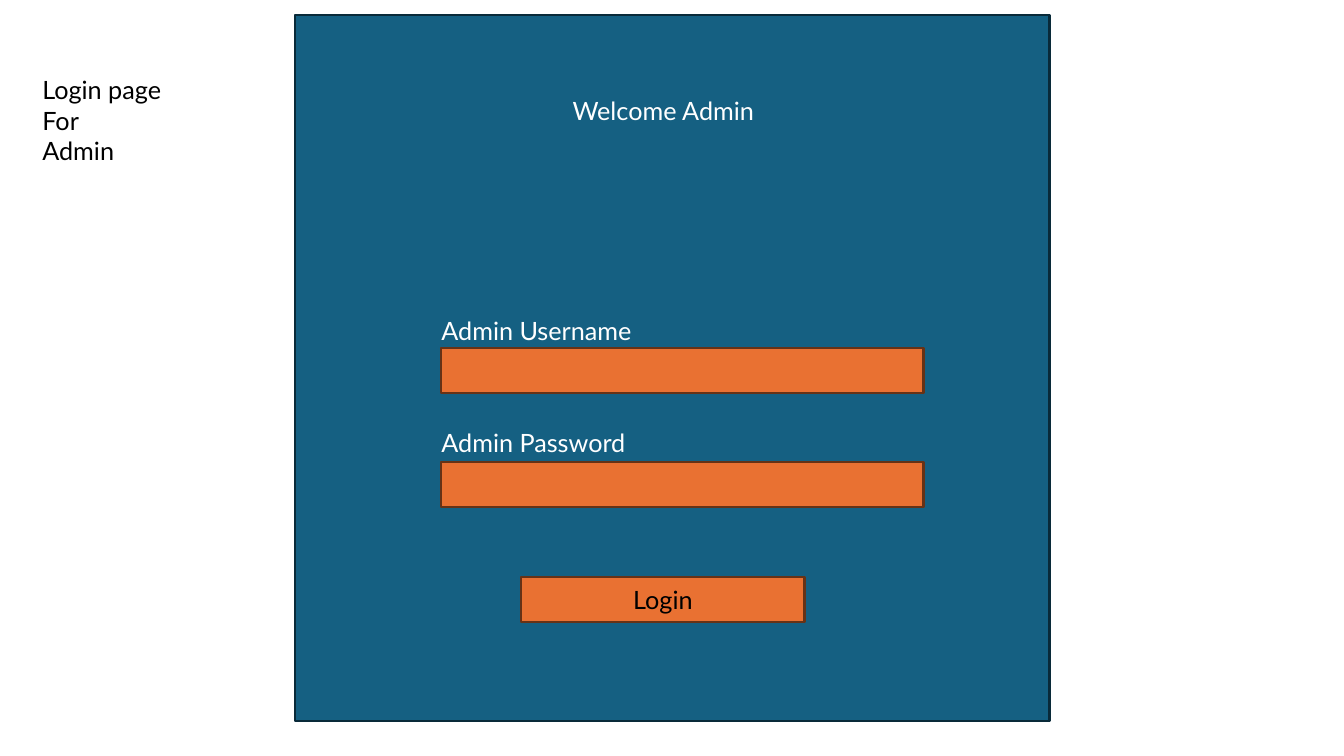
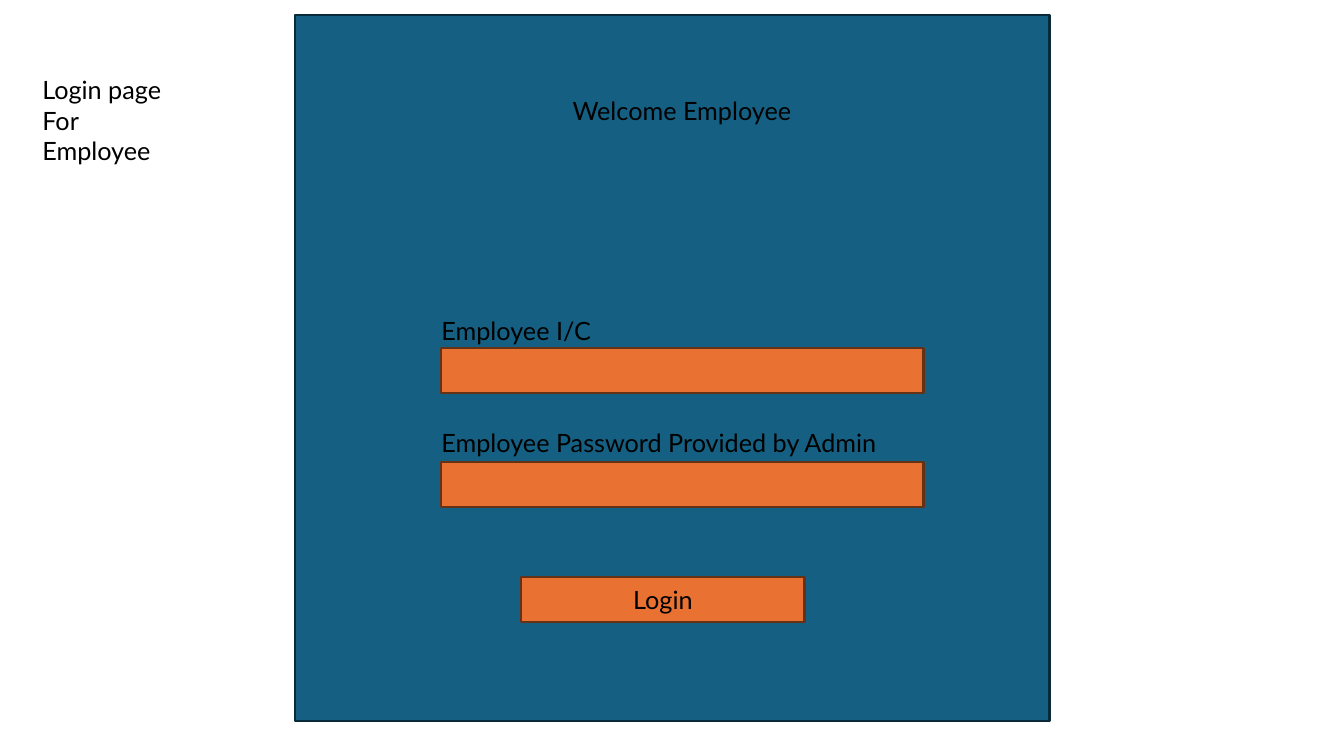
from dataclasses import dataclass

from pptx import Presentation
from pptx.dml.color import RGBColor
from pptx.enum.shapes import MSO_SHAPE
from pptx.enum.text import MSO_ANCHOR, MSO_AUTO_SIZE, PP_ALIGN
from pptx.util import Emu, Pt

EMU_PER_PX = 9144
TITLE_ONLY_LAYOUT = 5


@dataclass(frozen=True)
class Theme:
    font: str = "Lato"
    text_size: int = 18
    border_width: float = 1.5
    dark_text: str = "000000"
    light_text: str = "FFFFFF"
    panel_fill: str = "156082"
    panel_border: str = "092A39"
    control_fill: str = "E97132"
    control_border: str = "663216"


@dataclass(frozen=True)
class LoginPage:
    role: str
    username_label: str
    password_label: str
    text_color: str
    welcome_width: int
    password_width: int


def px(length):
    return Emu(length * EMU_PER_PX)


class LoginDeck:
    def __init__(self, theme):
        self.theme = theme
        self.presentation = Presentation()
        self.presentation.slide_width = px(1333)
        self.presentation.slide_height = px(750)
        self.slide = None

    def new_slide(self):
        layout = self.presentation.slide_layouts[TITLE_ONLY_LAYOUT]
        self.slide = self.presentation.slides.add_slide(layout)

    def add_lines(self, shape, lines, color, alignment=PP_ALIGN.LEFT):
        frame = shape.text_frame
        for index, line in enumerate(lines):
            paragraph = frame.add_paragraph() if index else frame.paragraphs[0]
            paragraph.alignment = alignment
            run = paragraph.add_run()
            run.text = line
            run.font.name = self.theme.font
            run.font.size = Pt(self.theme.text_size)
            run.font.color.rgb = RGBColor.from_string(color)

    def fit_text(self, shape):
        frame = shape.text_frame
        frame.word_wrap = True
        frame.auto_size = MSO_AUTO_SIZE.SHAPE_TO_FIT_TEXT
        frame.vertical_anchor = MSO_ANCHOR.TOP

    def title(self, lines, left, top, width, height):
        title = self.slide.shapes.title
        title.left, title.top = px(left), px(top)
        title.width, title.height = px(width), px(height)
        self.fit_text(title)
        self.add_lines(title, lines, self.theme.dark_text)

    def label(self, text, color, left, top, width):
        label = self.slide.shapes.add_textbox(px(left), px(top), px(width), px(40))
        self.fit_text(label)
        self.add_lines(label, [text], color)

    def box(self, left, top, width, height, fill, border):
        box = self.slide.shapes.add_shape(
            MSO_SHAPE.RECTANGLE, px(left), px(top), px(width), px(height)
        )
        box.shadow.inherit = False
        box.fill.solid()
        box.fill.fore_color.rgb = RGBColor.from_string(fill)
        box.line.color.rgb = RGBColor.from_string(border)
        box.line.width = Pt(self.theme.border_width)
        return box

    def panel(self):
        self.box(293, 15, 748, 700, self.theme.panel_fill, self.theme.panel_border)

    def control(self, left, top, width):
        return self.box(
            left, top, width, 45, self.theme.control_fill, self.theme.control_border
        )

    def field(self, text, color, label_top, label_width, field_top):
        self.control(437, field_top, 479)
        self.label(text, color, 428, label_top, label_width)

    def button(self, text):
        button = self.control(517, 572, 281)
        button.text_frame.vertical_anchor = MSO_ANCHOR.MIDDLE
        self.add_lines(button, [text], self.theme.dark_text, PP_ALIGN.CENTER)

    def login_page(self, page):
        self.new_slide()
        self.title(["Login page", "For", page.role], 32, 69, 220, 101)
        self.panel()
        self.label(f"Welcome {page.role}", page.text_color, 558, 90, page.welcome_width)
        self.field(page.username_label, page.text_color, 308, 218, 345)
        self.field(page.password_label, page.text_color, 419, page.password_width, 458)
        self.button("Login")


def main():
    theme = Theme()
    deck = LoginDeck(theme)
    pages = [
        LoginPage(
            "Admin", "Admin Username", "Admin Password", theme.light_text, 218, 218
        ),
        LoginPage(
            "Employee",
            "Employee I/C",
            "Employee Password Provided by Admin",
            theme.dark_text,
            311,
            522,
        ),
    ]
    for page in pages:
        deck.login_page(page)
    deck.presentation.save("out.pptx")


if __name__ == "__main__":
    main()
